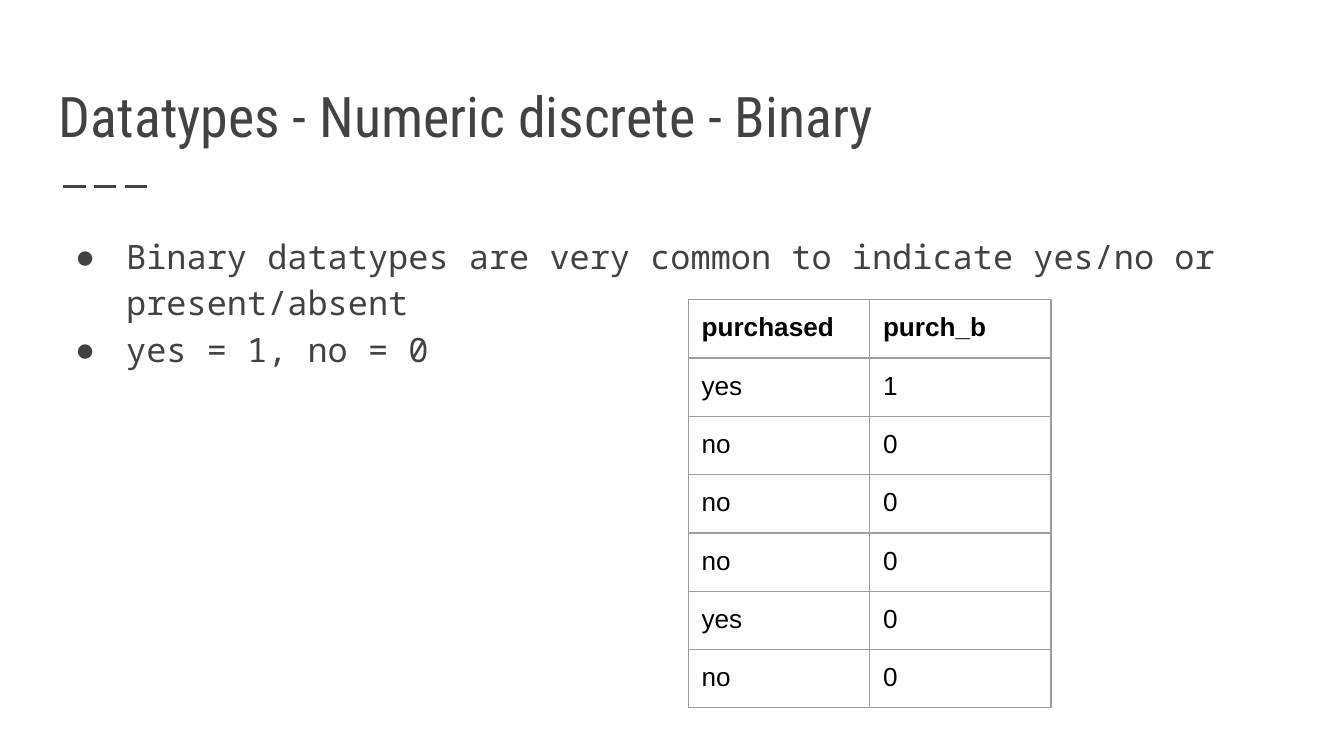
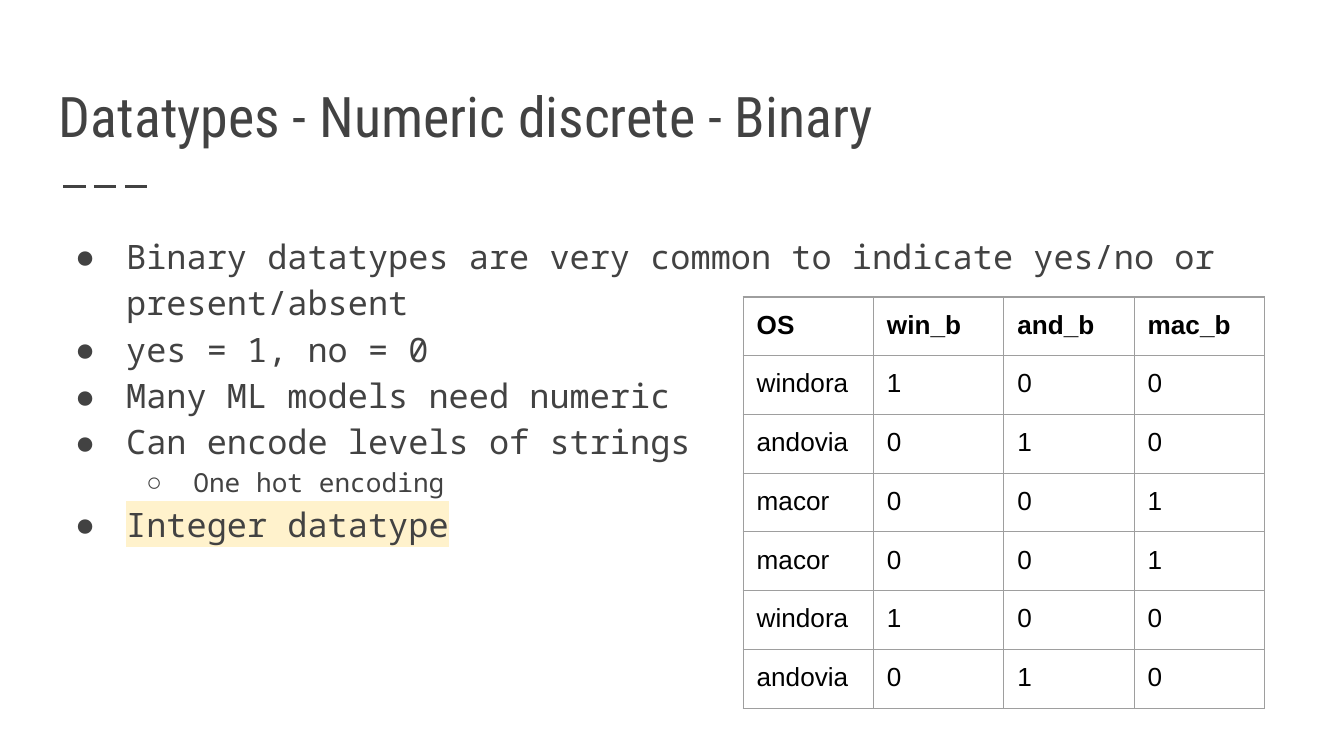
from copy import deepcopy

from lxml import etree
from pptx import Presentation
from pptx.dml.color import RGBColor
from pptx.enum import dml, shapes, text
from pptx.oxml import ns
from pptx.util import Inches, Pt

COLORS = {
    "background": "FFFFFF",
    "text": "424242",
    "table_text": "000000",
    "border": "9E9E9E",
    "highlight": "FFF2CC",
}
TITLE_FONT, BODY_FONT, TABLE_FONT = "Roboto Condensed", "Noto Sans Mono", "Arial"
SLIDE_WIDTH = Inches(10)
MARGIN = Inches(0.1)
TITLE = "Datatypes - Numeric discrete - Binary"
TITLE_BOX = (0.34, 0.41, 9.32, 0.8)
BODY_BOX = (0.34, 1.61, 9.32, 3.39)

# Per level: bullet, left indent, hanging indent, text size
LEVELS = [("●", 0.5, 0.38, 18), ("○", 1, 0.35, 14)]

# Each bullet: text, level, highlighted
BINARY_BULLETS = [
    ("Binary datatypes are very common to indicate yes/no or present/absent", 0, False),
    ("yes = 1, no = 0", 0, False),
]
ENCODING_BULLETS = BINARY_BULLETS + [
    ("Many ML models need numeric", 0, False),
    ("Can encode levels of strings", 0, False),
    ("One hot encoding", 1, False),
    ("Integer datatype", 0, True),
]

PURCHASES = [
    ("purchased", "purch_b"),
    ("yes", "1"),
    ("no", "0"),
    ("no", "0"),
    ("no", "0"),
    ("yes", "0"),
    ("no", "0"),
]
SYSTEMS = ["windora", "andovia", "macor"]
OBSERVED = ["windora", "andovia", "macor", "macor", "windora", "andovia"]
ONE_HOT = [("OS", "win_b", "and_b", "mac_b")] + [
    (observed, *("1" if observed == system else "0" for system in SYSTEMS))
    for observed in OBSERVED
]


def rgb(name):
    return RGBColor.from_string(COLORS[name])


def add_element(parent, tag, **attributes):
    return etree.SubElement(parent, ns.qn(tag), attributes)


def add_color(parent, name):
    add_element(parent, "a:srgbClr", val=COLORS[name])


def style_font(font, name, size, color, bold=False):
    font.name = name
    font.size = Pt(size)
    font.bold = bold
    font.color.rgb = rgb(color)


def set_margins(holder):
    """Give a text frame or table cell the common inner margin."""
    holder.margin_left = holder.margin_right = MARGIN
    holder.margin_top = holder.margin_bottom = MARGIN


def add_text_frame(slide, box, anchor):
    frame = slide.shapes.add_textbox(*map(Inches, box)).text_frame
    frame.word_wrap = True
    frame.vertical_anchor = anchor
    set_margins(frame)
    return frame


def add_title(slide, box, title):
    """Title with the dashed rule below it."""
    frame = add_text_frame(slide, box, text.MSO_ANCHOR.BOTTOM)
    paragraph = frame.paragraphs[0]
    paragraph.text = title
    style_font(paragraph.font, TITLE_FONT, 30, "text")

    left, top, _, height = box
    start, y = left + 0.13, top + height + 0.18
    rule = slide.shapes.add_connector(
        shapes.MSO_CONNECTOR.STRAIGHT,
        Inches(start), Inches(y), Inches(start + 0.67), Inches(y))
    rule.line.color.rgb = rgb("text")
    rule.line.width = Pt(1.5)
    rule.line.dash_style = dml.MSO_LINE.LONG_DASH
    add_element(rule._element.spPr, "a:effectLst")


def set_bullet(paragraph, character, indent, hanging):
    properties = paragraph._p.get_or_add_pPr()
    properties.set("marL", str(Inches(indent)))
    properties.set("indent", str(-Inches(hanging)))
    add_color(add_element(properties, "a:buClr"), "text")
    add_element(properties, "a:buFont", typeface=BODY_FONT)
    add_element(properties, "a:buChar", char=character)


def add_bullets(slide, box, bullets):
    frame = add_text_frame(slide, box, text.MSO_ANCHOR.TOP)
    for index, (words, level, highlighted) in enumerate(bullets):
        paragraph = frame.add_paragraph() if index else frame.paragraphs[0]
        character, indent, hanging, size = LEVELS[level]
        set_bullet(paragraph, character, indent, hanging)
        paragraph.level = level
        paragraph.line_spacing = 1.15
        style_font(paragraph.font, BODY_FONT, size, "text")
        run = paragraph.add_run()
        run.text = words
        if highlighted:
            add_color(add_element(run._r.get_or_add_rPr(), "a:highlight"), "highlight")


def add_borders(cell):
    properties = cell._tc.get_or_add_tcPr()
    for side in ("L", "R", "T", "B"):
        line = add_element(properties, f"a:ln{side}", w=str(Pt(0.75)))
        add_color(add_element(line, "a:solidFill"), "border")


def fill_cell(cell, value, bold):
    """Write a cell; its paragraph end takes the same font, to keep the row low."""
    add_borders(cell)
    cell.fill.background()
    set_margins(cell)
    paragraph = cell.text_frame.paragraphs[0]
    run = paragraph.add_run()
    run.text = value
    style_font(run.font, TABLE_FONT, 14, "table_text", bold)
    paragraph_end = add_element(paragraph._p, "a:endParaRPr", sz="1400")
    for part in run._r.get_or_add_rPr():
        paragraph_end.append(deepcopy(part))


def add_grid(slide, left, top, column_width, row_heights, rows):
    """Bordered table with a bold first row."""
    columns = len(rows[0])
    table = slide.shapes.add_table(
        len(rows), columns, Inches(left), Inches(top),
        Inches(column_width * columns), Inches(sum(row_heights))).table
    table.first_row = table.horz_banding = False
    for column in table.columns:
        column.width = Inches(column_width)
    for index, (values, height) in enumerate(zip(rows, row_heights)):
        table.rows[index].height = Inches(height)
        for cell, value in zip(table.rows[index].cells, values):
            fill_cell(cell, value, bold=index == 0)


def add_content_slide(presentation, bullets):
    slide = presentation.slides.add_slide(presentation.slide_layouts[6])
    slide.background.fill.solid()
    slide.background.fill.fore_color.rgb = rgb("background")
    add_title(slide, TITLE_BOX, TITLE)
    add_bullets(slide, BODY_BOX, bullets)
    return slide


def main():
    presentation = Presentation()
    presentation.slide_width = SLIDE_WIDTH
    presentation.slide_height = SLIDE_WIDTH * 9 // 16

    slide = add_content_slide(presentation, BINARY_BULLETS)
    add_grid(slide, 5.12, 2.23, 1.35, [0.41] * len(PURCHASES), PURCHASES)

    slide = add_content_slide(presentation, ENCODING_BULLETS)
    low, tall = 0.36, 0.44
    add_grid(slide, 5.53, 2.21, 0.97, [low, tall, tall, low, low, tall, tall], ONE_HOT)

    presentation.save("out.pptx")


if __name__ == "__main__":
    main()
